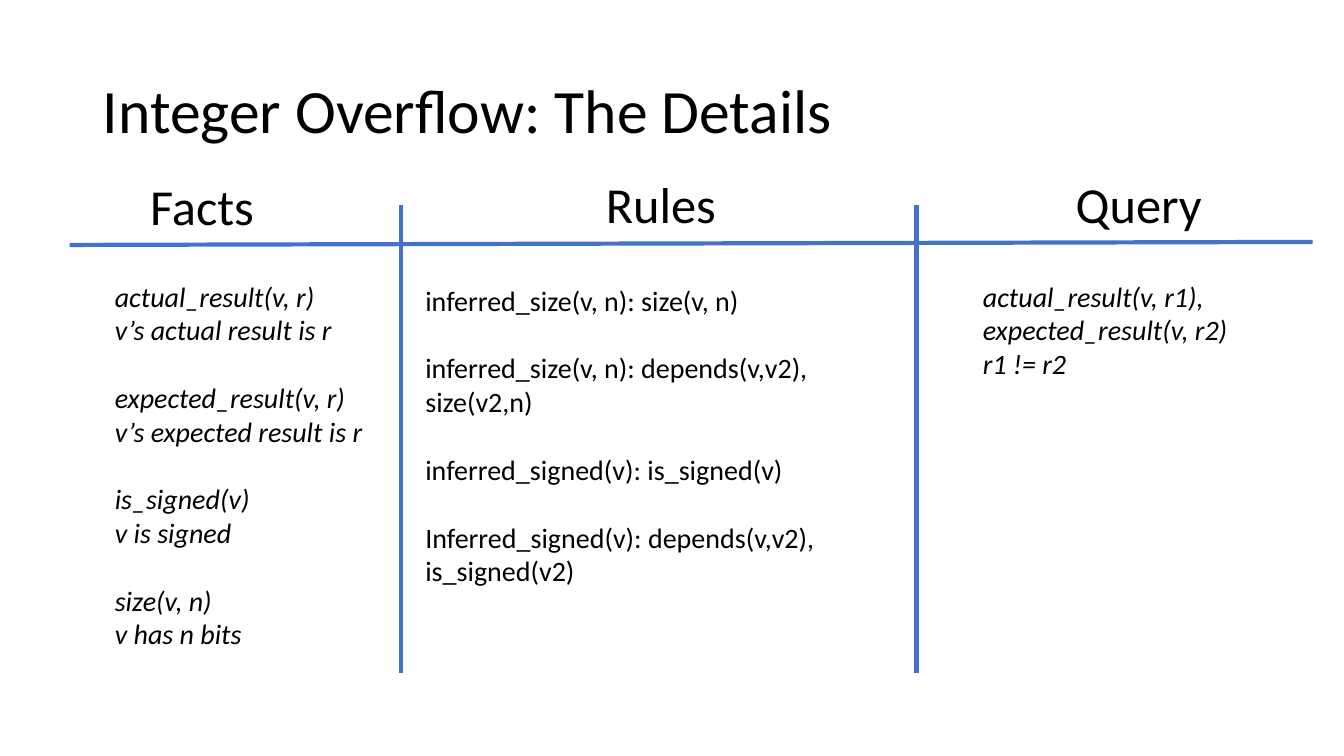
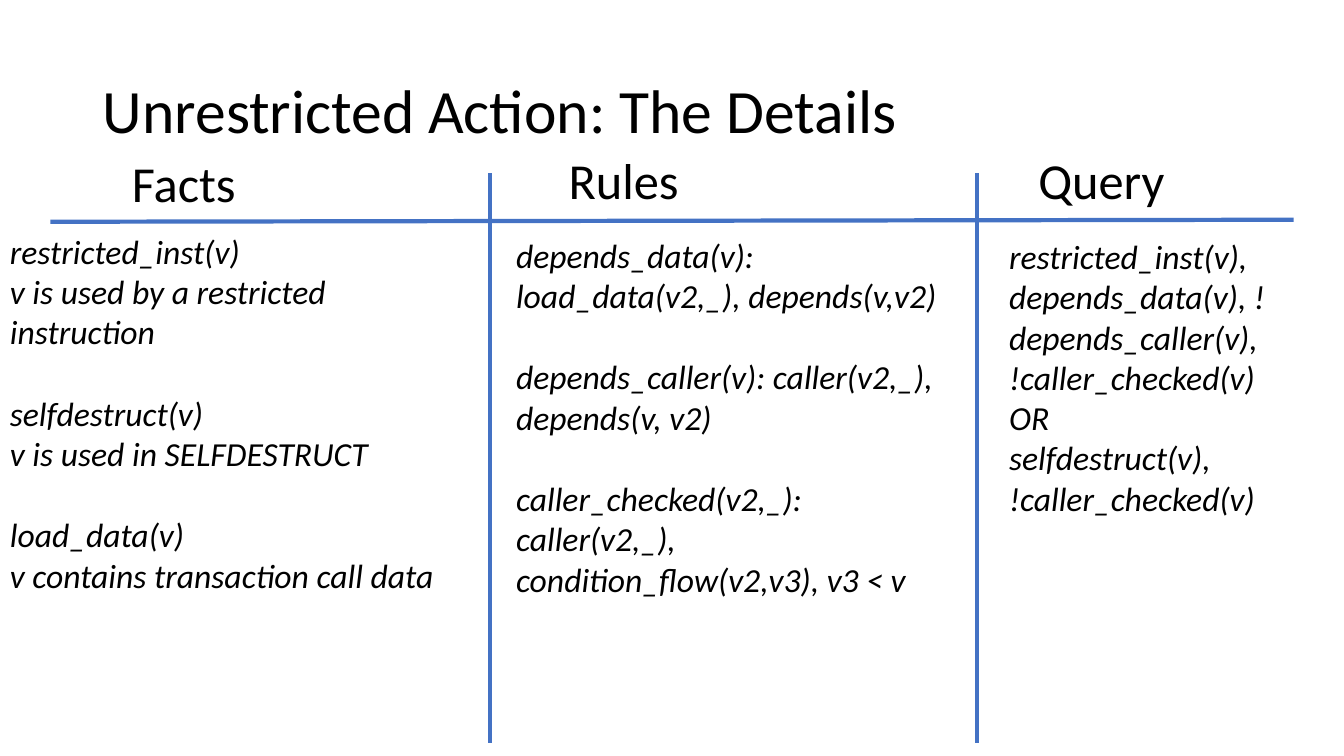
"""Build two slides that set out facts, rules and query in three columns."""
import pptx
import pptx.dml.color
import pptx.enum.shapes
import pptx.enum.text
import pptx.oxml.ns
import pptx.util
from lxml import etree

PX = 9144
BLACK = pptx.dml.color.RGBColor(0x00, 0x00, 0x00)
BLUE = pptx.dml.color.RGBColor(0x44, 0x72, 0xC4)
FONT = "Calibri"
TITLE_SIZE, HEADING_SIZE = 44, 36
HEADING_WIDTH, HEADING_HEIGHT = 221, 71
LINE_HEIGHT = 1.22

details = [
    {
        "title": "Integer Overflow: The Details",
        "size": 20,
        "rules": [(69, 243, 1302, 240), (398, 203, 398, 668), (909, 203, 909, 668)],
        "columns": [
            ("Facts", (139, 169), (104, 272, 271, 380), True, [
                ["actual_result(v, r)", "v’s actual result is r"],
                ["expected_result(v, r)", "v’s expected result is r"],
                ["is_signed(v)", "v is signed"],
                ["size(v, n)", "v has n bits"],
            ]),
            ("Rules", (591, 167), (412, 276, 497, 313), False, [
                ["inferred_size(v, n): size(v, n)"],
                ["inferred_size(v, n): depends(v,v2), size(v2,n)"],
                ["inferred_signed(v): is_signed(v)"],
                ["Inferred_signed(v): depends(v,v2), is_signed(v2)"],
            ]),
            ("Query", (1057, 167), (965, 272, 281, 111), True, [
                ["actual_result(v, r1),", "expected_result(v, r2)", "r1 != r2"],
            ]),
        ],
    },
    {
        "title": "Unrestricted Action: The Details",
        "size": 24,
        "rules": [(50, 220, 1283, 218), (486, 172, 486, 737), (969, 172, 969, 737)],
        "columns": [
            ("Facts", (121, 146), (0, 224, 480, 407), True, [
                ["restricted_inst(v)", "v is used by a restricted", "instruction"],
                ["selfdestruct(v)", "v is used in SELFDESTRUCT"],
                ["load_data(v)", "v contains transaction call data"],
            ]),
            ("Rules", (554, 143), (502, 228, 466, 404), True, [
                ["depends_data(v): load_data(v2,_), depends(v,v2)"],
                ["depends_caller(v): caller(v2,_), depends(v, v2)"],
                ["caller_checked(v2,_): caller(v2,_), condition_flow(v2,v3), v3 < v"],
            ]),
            ("Query", (1020, 143), (991, 229, 281, 293), True, [
                ["restricted_inst(v), depends_data(v), !depends_caller(v), !caller_checked(v)",
                 "OR", "selfdestruct(v),", "!caller_checked(v)"],
            ]),
        ],
    },
]


def style(paragraph, size, italic=False):
    for run in paragraph.runs:
        run.font.name = FONT
        run.font.size = pptx.util.Pt(size)
        run.font.italic = italic
        run.font.color.rgb = BLACK


def add_text(slide, box, groups, size, italic=False):
    frame = slide.shapes.add_textbox(*[n * PX for n in box]).text_frame
    frame.word_wrap = True
    frame.auto_size = pptx.enum.text.MSO_AUTO_SIZE.SHAPE_TO_FIT_TEXT
    frame.text = "\n".join(line for group in groups for line in group)
    paragraphs = iter(frame.paragraphs)
    for group_index, group in enumerate(groups):
        for line_index in range(len(group)):
            paragraph = next(paragraphs)
            style(paragraph, size, italic)
            if group_index and line_index == 0:
                paragraph.space_before = pptx.util.Pt(size * LINE_HEIGHT)


deck = pptx.Presentation()
deck.slide_width, deck.slide_height = 1333 * PX, 750 * PX
title_only = deck.slide_layouts[5]
layout_title = title_only.placeholders[0]
layout_title.left, layout_title.top = 92 * PX, 40 * PX
layout_title.width, layout_title.height = 1150 * PX, 145 * PX

for detail in details:
    slide = deck.slides.add_slide(title_only)
    title = slide.shapes.title.text_frame
    title.text = detail["title"]
    title.vertical_anchor = pptx.enum.text.MSO_ANCHOR.MIDDLE
    title.paragraphs[0].alignment = pptx.enum.text.PP_ALIGN.LEFT
    title.paragraphs[0].line_spacing = 0.9
    style(title.paragraphs[0], TITLE_SIZE)

    for ends in detail["rules"]:
        divider = slide.shapes.add_connector(
            pptx.enum.shapes.MSO_CONNECTOR.STRAIGHT, *[n * PX for n in ends])
        divider.line.color.rgb = BLUE
        divider.line.width = pptx.util.Pt(3)
        etree.SubElement(divider._element.spPr, pptx.oxml.ns.qn("a:effectLst"))

    for heading, corner, box, italic, groups in detail["columns"]:
        add_text(slide, (*corner, HEADING_WIDTH, HEADING_HEIGHT), [[heading]], HEADING_SIZE)
        add_text(slide, box, groups, detail["size"], italic)

deck.save("out.pptx")
